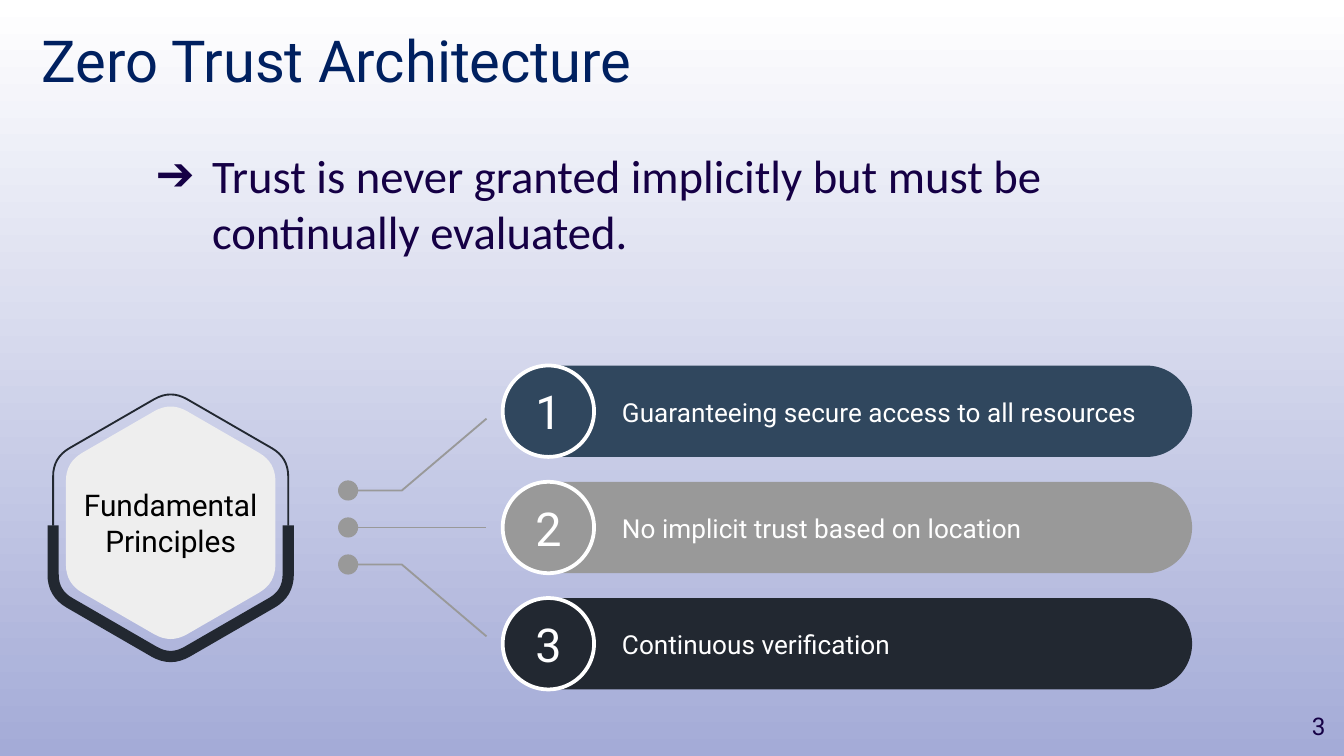
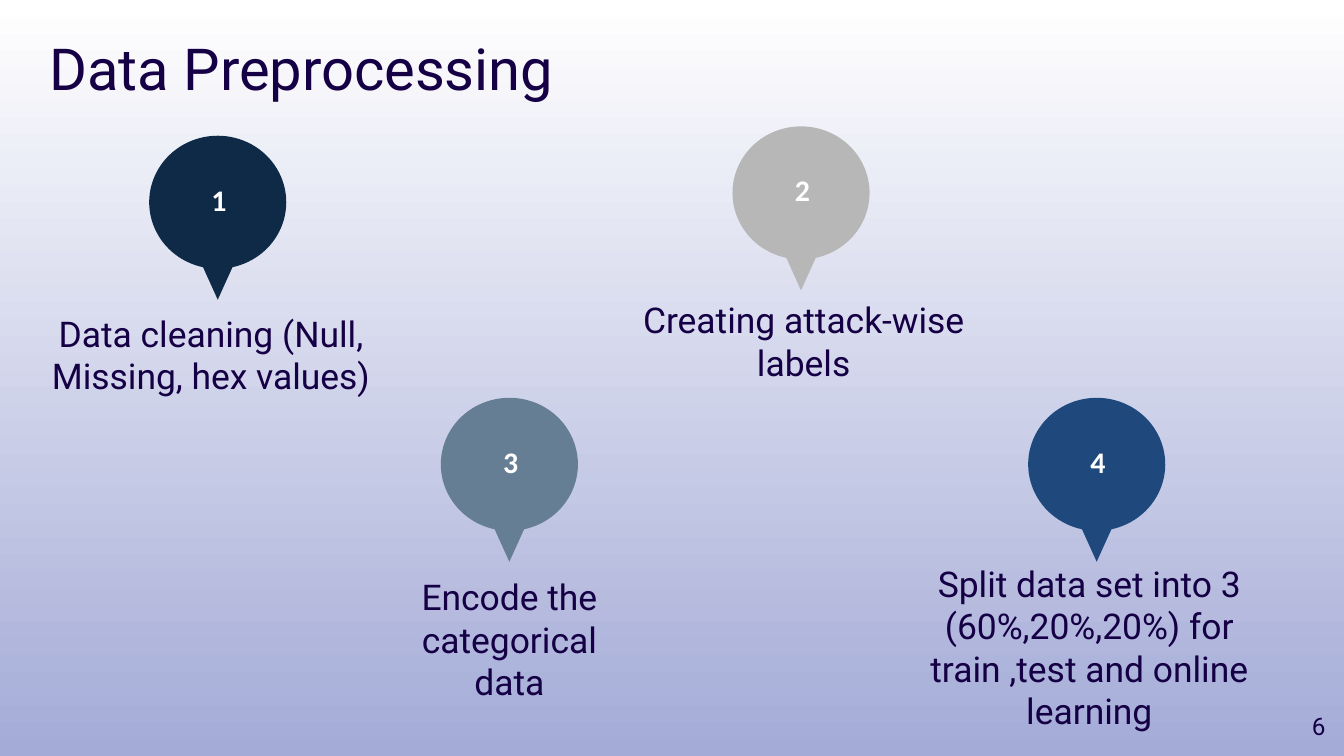
import math
from dataclasses import dataclass
from typing import Any, Sequence

import pptx
import pptx.dml.color
import pptx.enum.shapes
import pptx.enum.text
import pptx.oxml
import pptx.oxml.ns
import pptx.util

Inches = pptx.util.Inches
Pt = pptx.util.Pt
SHAPES = pptx.enum.shapes.MSO_SHAPE
ALIGN = pptx.enum.text.PP_ALIGN
ANCHOR = pptx.enum.text.MSO_ANCHOR
Point = tuple[float, float]


@dataclass(frozen=True)
class Theme:
    sky: str = "FFFFFF"
    dusk: str = "A4ABD7"
    ink: str = "150045"
    navy: str = "002060"
    white: str = "FFFFFF"
    black: str = "000000"
    gray: str = "999999"
    pale: str = "EEEEEE"
    slate: str = "30475E"
    coal: str = "222831"
    midnight: str = "0E2A47"
    silver: str = "B7B7B7"
    steel: str = "657E93"
    blue: str = "1F497D"
    heading: str = "Roboto"
    body: str = "Calibri"
    title_size: int = 31
    statement_size: int = 25
    step_size: int = 19
    core_size: int = 16
    label_size: int = 14
    number_size: int = 13


THEME = Theme()


@dataclass(frozen=True)
class Style:
    size: int
    color: str
    font: str = THEME.heading
    bold: bool = False
    align: Any = ALIGN.LEFT
    anchor: Any = ANCHOR.TOP


@dataclass(frozen=True)
class Frame:
    left: float
    top: float
    width: float
    height: float

    def lengths(self) -> list[int]:
        return [Inches(side) for side in (self.left, self.top, self.width, self.height)]


@dataclass(frozen=True)
class Principle:
    text: str
    color: str


@dataclass(frozen=True)
class Step:
    text: str
    color: str
    center: float
    top: float
    label: Frame
    side_inset: float


PRINCIPLES = [
    Principle("Guaranteeing secure access to all resources", THEME.slate),
    Principle("No implicit trust based on location", THEME.gray),
    Principle("Continuous verification", THEME.coal),
]
STEPS = [
    Step("Data cleaning (Null, Missing, hex values)", THEME.midnight, 1.62, 1.01,
         Frame(0.27, 2.22, 2.6, 0.84), 0.08),
    Step("Creating attack-wise labels", THEME.silver, 5.96, 0.94,
         Frame(4.68, 2.12, 2.6, 0.84), 0.08),
    Step("Encode the categorical data", THEME.steel, 3.79, 2.96,
         Frame(2.75, 4.18, 2.08, 1.15), 0.2),
    Step("Split data set into 3 (60%,20%,20%) for train ,test and online learning",
         THEME.blue, 8.16, 2.96, Frame(6.45, 4.08, 3.31, 1.5), 0.4),
]


def assign(target: Any, values: dict[str, Any]) -> None:
    for name, value in values.items():
        setattr(target, name, value)


def rgb(color: str) -> Any:
    return pptx.dml.color.RGBColor.from_string(color)


def write(box: Any, text: str, style: Style, side: float = 0.1, edge: float = 0.1) -> Any:
    frame = box.text_frame
    assign(frame, {
        "word_wrap": True, "vertical_anchor": style.anchor,
        "margin_left": Inches(side), "margin_right": Inches(side),
        "margin_top": Inches(edge), "margin_bottom": Inches(edge),
    })
    para = frame.paragraphs[0]
    para.alignment = style.align
    span = para.add_run()
    span.text = text
    assign(span.font, {"size": Pt(style.size), "name": style.font, "bold": style.bold})
    span.font.color.rgb = rgb(style.color)
    return para


def add_text(page: Any, frame: Frame, text: str, style: Style,
             side: float = 0.1, edge: float = 0.1) -> Any:
    return write(page.shapes.add_textbox(*frame.lengths()), text, style, side, edge)


def paint(shape: Any, fill: str = "", line: str = "", weight: float = 1) -> Any:
    shape.shadow.inherit = False
    if fill:
        shape.fill.solid()
        shape.fill.fore_color.rgb = rgb(fill)
    else:
        shape.fill.background()
    if line:
        shape.line.color.rgb = rgb(line)
        shape.line.width = Pt(weight)
    else:
        shape.line.fill.background()
    return shape


def add_preset(page: Any, kind: Any, frame: Frame, fill: str, line: str = "",
               weight: float = 1) -> Any:
    return paint(page.shapes.add_shape(kind, *frame.lengths()), fill, line, weight)


def add_outline(page: Any, points: Sequence[Point], closed: bool = False) -> Any:
    scaled = [(Inches(x), Inches(y)) for x, y in points]
    builder = page.shapes.build_freeform(*scaled[0])
    builder.add_line_segments(scaled[1:], close=closed)
    return builder.convert_to_shape()


def add_straight(page: Any, start: Point, end: Point, color: str) -> None:
    line = page.shapes.add_connector(
        pptx.enum.shapes.MSO_CONNECTOR.STRAIGHT, *[Inches(v) for v in (*start, *end)])
    line.line.color.rgb = rgb(color)
    line.line.width = Pt(1)
    line._element.spPr.append(
        pptx.oxml.parse_xml(f"<a:effectLst {pptx.oxml.ns.nsdecls('a')}/>"))


def hexagon(center: Point, radius: float) -> list[Point]:
    angles = [math.radians(60 * corner - 90) for corner in range(6)]
    return [(center[0] + radius * math.cos(a), center[1] + radius * math.sin(a))
            for a in angles]


def round_corner(before: Point, corner: Point, after: Point, cut: float) -> list[Point]:
    def toward(target: Point) -> Point:
        share = cut / math.dist(corner, target)
        return (corner[0] + share * (target[0] - corner[0]),
                corner[1] + share * (target[1] - corner[1]))

    start, end = toward(before), toward(after)
    curve = []
    for part in range(9):
        t = part / 8
        curve.append(tuple((1 - t) ** 2 * a + 2 * t * (1 - t) * b + t ** 2 * c
                           for a, b, c in zip(start, corner, end)))
    return curve


def round_corners(points: Sequence[Point], cut: float) -> list[Point]:
    return [point for trio in zip(points, points[1:], points[2:])
            for point in round_corner(*trio, cut)]


def new_page(deck: Any, title: str, frame: Frame, color: str, number: int) -> Any:
    page = deck.slides.add_slide(deck.slide_layouts[6])
    fill = page.background.fill
    fill.gradient()
    fill.gradient_angle = 270
    for stop, shade in zip(fill.gradient_stops, (THEME.sky, THEME.dusk)):
        stop.color.rgb = rgb(shade)
    add_text(page, frame, title, Style(THEME.title_size, color))
    add_text(page, Frame(9.36, 5.19, 0.6, 0.43), str(number),
             Style(THEME.number_size, THEME.ink, align=ALIGN.RIGHT))
    return page


def add_statement(page: Any, text: str) -> None:
    para = add_text(page, Frame(0.98, 1.04, 8.43, 0.96), text,
                    Style(THEME.statement_size, THEME.ink, THEME.body), edge=0.05)
    settings = para._p.get_or_add_pPr()
    settings.set("marL", str(Inches(0.5)))
    settings.set("indent", str(Inches(-0.42)))
    names = pptx.oxml.ns.nsdecls("a")
    for bullet in (f'<a:buClr {names}><a:srgbClr val="{THEME.ink}"/></a:buClr>',
                   f'<a:buFont {names} typeface="{THEME.body}"/>',
                   f'<a:buChar {names} char="➔"/>'):
        settings.append(pptx.oxml.parse_xml(bullet))


def add_core(page: Any, text: str) -> None:
    center, radius, cut = (1.27, 3.91), 1.01, 0.14
    corners = hexagon(center, radius)
    reach = radius * math.cos(math.radians(30))
    left, right = (center[0] - reach, center[1]), (center[0] + reach, center[1])
    upper = [left, corners[5], corners[0], corners[1], right]
    lower = [left, corners[4], corners[3], corners[2], right]
    for half, weight in ((upper, 1), (lower, 6)):
        rim = [left, *round_corners(half, cut), right]
        paint(add_outline(page, rim), line=THEME.coal, weight=weight)
    inner = hexagon((1.27, 3.89), 0.9)
    core = add_outline(page, round_corners(inner + inner[:2], cut), closed=True)
    write(paint(core, THEME.pale), text,
          Style(THEME.core_size, THEME.black, align=ALIGN.CENTER, anchor=ANCHOR.MIDDLE))


def add_principles(page: Any, principles: Sequence[Principle]) -> None:
    left, top, bottom, width, height = 3.74, 2.72, 5.13, 5.13, 0.68
    dot, dot_x, first_dot, last_dot = 0.15, 2.59, 3.65, 4.2
    bend_x, end_x, spread = 2.99, 3.62, 0.81
    gaps = len(principles) - 1
    pitch = (bottom - top - height) / gaps
    middle = (top + bottom) / 2
    badge = Style(THEME.statement_size, THEME.white, align=ALIGN.CENTER,
                  anchor=ANCHOR.MIDDLE)
    label = Style(THEME.label_size, THEME.white, anchor=ANCHOR.MIDDLE)
    for index, principle in enumerate(principles):
        y = top + index * pitch
        bar = add_preset(page, SHAPES.ROUNDED_RECTANGLE, Frame(left, y, width, height),
                         principle.color)
        bar.adjustments[0] = 0.5
        circle = add_preset(page, SHAPES.OVAL, Frame(left, y, height, height),
                            principle.color, THEME.white, 2)
        write(circle, str(index + 1), badge, 0, 0)
        add_text(page, Frame(4.53, y + height / 2 - 0.15, 4.2, 0.31), principle.text, label)

        dot_y = first_dot + index * (last_dot - first_dot) / gaps
        add_preset(page, SHAPES.OVAL, Frame(dot_x - dot / 2, dot_y - dot / 2, dot, dot),
                   THEME.gray)
        end_y = middle + (index - gaps / 2) * spread
        if math.isclose(dot_y, end_y, abs_tol=0.01):
            add_straight(page, (dot_x, dot_y), (end_x, dot_y), THEME.gray)
        else:
            bend = [(dot_x, dot_y), (bend_x, dot_y), (end_x, end_y)]
            paint(add_outline(page, bend), line=THEME.gray)


def add_step(page: Any, number: int, step: Step) -> None:
    width, height, tip, digit = 1.02, 0.99, 0.29, 0.36
    add_preset(page, SHAPES.FLOWCHART_MERGE,
               Frame(step.center - tip / 2, step.top + 0.9, tip, 0.32), step.color)
    add_preset(page, SHAPES.OVAL,
               Frame(step.center - width / 2, step.top, width, height), step.color)
    add_text(page, Frame(step.center - digit / 2 + 0.01, step.top + 0.24, digit, 0.47),
             str(number),
             Style(THEME.core_size, THEME.white, THEME.body, True, ALIGN.CENTER))
    add_text(page, step.label, step.text,
             Style(THEME.step_size, THEME.ink, align=ALIGN.CENTER), step.side_inset)


def main() -> None:
    deck = pptx.Presentation()
    assign(deck, {"slide_width": Inches(10), "slide_height": Inches(10) * 9 // 16})

    page = new_page(deck, "Zero Trust Architecture", Frame(0.21, 0.08, 6.38, 1.29),
                    THEME.navy, 3)
    add_statement(page, "Trust is never granted implicitly but must be continually evaluated.")
    add_principles(page, PRINCIPLES)
    add_core(page, "Fundamental Principles")

    page = new_page(deck, "Data Preprocessing", Frame(0.27, 0.14, 4.61, 0.76), THEME.ink, 6)
    for number, step in enumerate(STEPS, 1):
        add_step(page, number, step)

    deck.save("out.pptx")


if __name__ == "__main__":
    main()
